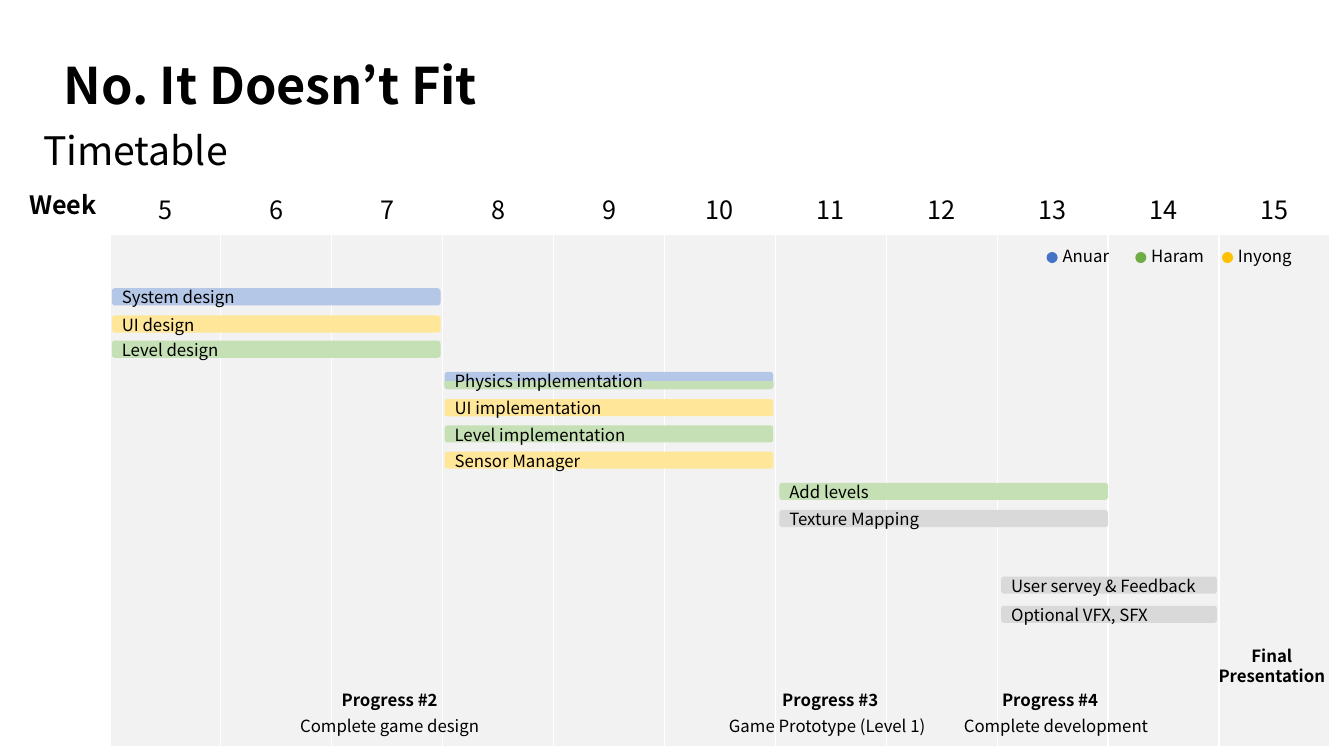
from pptx import Presentation
from pptx.dml.color import RGBColor
from pptx.enum.shapes import MSO_SHAPE
from pptx.enum.text import MSO_ANCHOR, MSO_AUTO_SIZE, PP_ALIGN
from pptx.oxml import parse_xml
from pptx.util import Pt

PX = 9144  # 100 px to the inch
FONT = "Noto Sans CJK KR"
LEFT, CENTER = PP_ALIGN.LEFT, PP_ALIGN.CENTER
MIDDLE = MSO_ANCHOR.MIDDLE
FIT_TEXT = MSO_AUTO_SIZE.SHAPE_TO_FIT_TEXT
OVAL, BAR = MSO_SHAPE.OVAL, MSO_SHAPE.ROUNDED_RECTANGLE
BAR_BOTTOM = MSO_SHAPE.ROUND_2_SAME_RECTANGLE

BLACK = RGBColor(0x00, 0x00, 0x00)
WHITE = RGBColor(0xFF, 0xFF, 0xFF)
PANEL = RGBColor(0xF2, 0xF2, 0xF2)
BLUE = RGBColor(0x44, 0x72, 0xC4)
GREEN = RGBColor(0x70, 0xAD, 0x47)
YELLOW = RGBColor(0xFF, 0xC0, 0x00)
LIGHT_BLUE = RGBColor(0xB4, 0xC7, 0xE7)
LIGHT_GREEN = RGBColor(0xC5, 0xE0, 0xB4)
LIGHT_YELLOW = RGBColor(0xFF, 0xE6, 0x99)
GRAY = RGBColor(0xD9, 0xD9, 0xD9)

DRAWING_NS = "http://schemas.openxmlformats.org/drawingml/2006/main"


def add_text(shapes, left, top, width, height, lines, size=12, bold=False, align=LEFT):
    box = shapes.add_textbox(left * PX, top * PX, width * PX, height * PX)
    frame = box.text_frame
    frame.word_wrap = True
    frame.auto_size = FIT_TEXT
    for index, line in enumerate(lines):
        para = frame.paragraphs[0] if index == 0 else frame.add_paragraph()
        para.alignment = align
        span = para.add_run()
        span.text = line
        span.font.name = FONT
        span.font.size = Pt(size)
        span.font.bold = bold
        span.font.color.rgb = BLACK


def add_block(shapes, kind, left, top, width, height, color):
    block = shapes.add_shape(kind, left * PX, top * PX, width * PX, height * PX)
    block.shadow.inherit = False
    block.fill.solid()
    block.fill.fore_color.rgb = color
    block.line.fill.background()
    return block


deck = Presentation()
deck.slide_width, deck.slide_height = 1333 * PX, 750 * PX
page = deck.slides.add_slide(deck.slide_layouts[6])

# Headings
add_text(page.shapes, 53, 49, 719, 71, ["No. It Doesn’t Fit"], size=36, bold=True)
add_text(page.shapes, 33, 120, 283, 57, ["Timetable"], size=28)

# Week grid
weeks = range(5, 16)
grid = page.shapes.add_table(2, len(weeks), 109 * PX, 183 * PX, 1210 * PX, 558 * PX).table
grid.first_row = False
grid.horz_banding = False
grid.rows[0].height, grid.rows[1].height = 48 * PX, 510 * PX
for column, week in enumerate(weeks):
    grid.columns[column].width = 110 * PX
    para = grid.cell(0, column).text_frame.paragraphs[0]
    para.alignment = CENTER
    span = para.add_run()
    span.text = str(week)
    span.font.name = FONT
    span.font.size = Pt(18)
    span.font.bold = False
    span.font.color.rgb = BLACK
    for row, color, bottom in ((0, WHITE, 3), (1, PANEL, 1)):
        cell = grid.cell(row, column)
        cell.vertical_anchor = MIDDLE
        properties = cell._tc.get_or_add_tcPr()
        for side, points in (("L", 1), ("R", 1), ("T", 1), ("B", bottom)):
            properties.append(parse_xml(
                f'<a:ln{side} xmlns:a="{DRAWING_NS}" w="{Pt(points)}">'
                f'<a:solidFill><a:srgbClr val="{WHITE}"/></a:solidFill></a:ln{side}>'))
        cell.fill.solid()
        cell.fill.fore_color.rgb = color
add_text(page.shapes, 19, 183, 283, 40, ["Week"], size=18, bold=True)

# Legend
for left, name, color in ((1038, "Anuar", BLUE), (1126, "Haram", GREEN), (1212, "Inyong", YELLOW)):
    entry = page.shapes.add_group_shape().shapes
    add_block(entry, OVAL, left, 250, 11, 11, color)
    add_text(entry, left + 6, 239, 76, 30, [name])

# Tasks, grouped by the weeks they span
phases = (
    (111, 326, ((286, "System design", LIGHT_BLUE),
                (313, "UI design", LIGHT_YELLOW),
                (338, "Level design", LIGHT_GREEN))),
    (441, 326, ((369, "Physics implementation", LIGHT_BLUE),
                (396, "UI implementation", LIGHT_YELLOW),
                (422, "Level implementation", LIGHT_GREEN),
                (448, "Sensor Manager", LIGHT_YELLOW))),
    (773, 326, ((479, "Add levels", LIGHT_GREEN),
                (506, "Texture Mapping", GRAY))),
    (993, 214, ((572, "User servey & Feedback", GRAY),
                (601, "Optional VFX, SFX", GRAY))),
)
for left, width, tasks in phases:
    for top, task, color in tasks:
        entry = page.shapes.add_group_shape().shapes
        add_block(entry, BAR, left, top, width, 17, color)
        if task == "Physics implementation":  # shared by two people
            half = add_block(entry, BAR_BOTTOM, left, top + 9, width, 8, LIGHT_GREEN)
            half.adjustments[0] = 0
            half.adjustments[1] = 0.35
        add_text(entry, left, top - 6, 283, 30, [task])

# Milestones
milestones = (
    (245, "Progress #2", 245, "Complete game design"),
    (682, "Progress #3", 679, "Game Prototype (Level 1)"),
    (900, "Progress #4", 906, "Complete development"),
)
for name_left, name, goal_left, goal in milestones:
    entry = page.shapes.add_group_shape().shapes
    add_text(entry, name_left, 679, 283, 30, [name], bold=True, align=CENTER)
    add_text(entry, goal_left, 705, 283, 30, [goal], align=CENTER)
add_text(page.shapes, 1120, 636, 283, 50, ["Final", "Presentation"], bold=True, align=CENTER)

deck.save("out.pptx")
